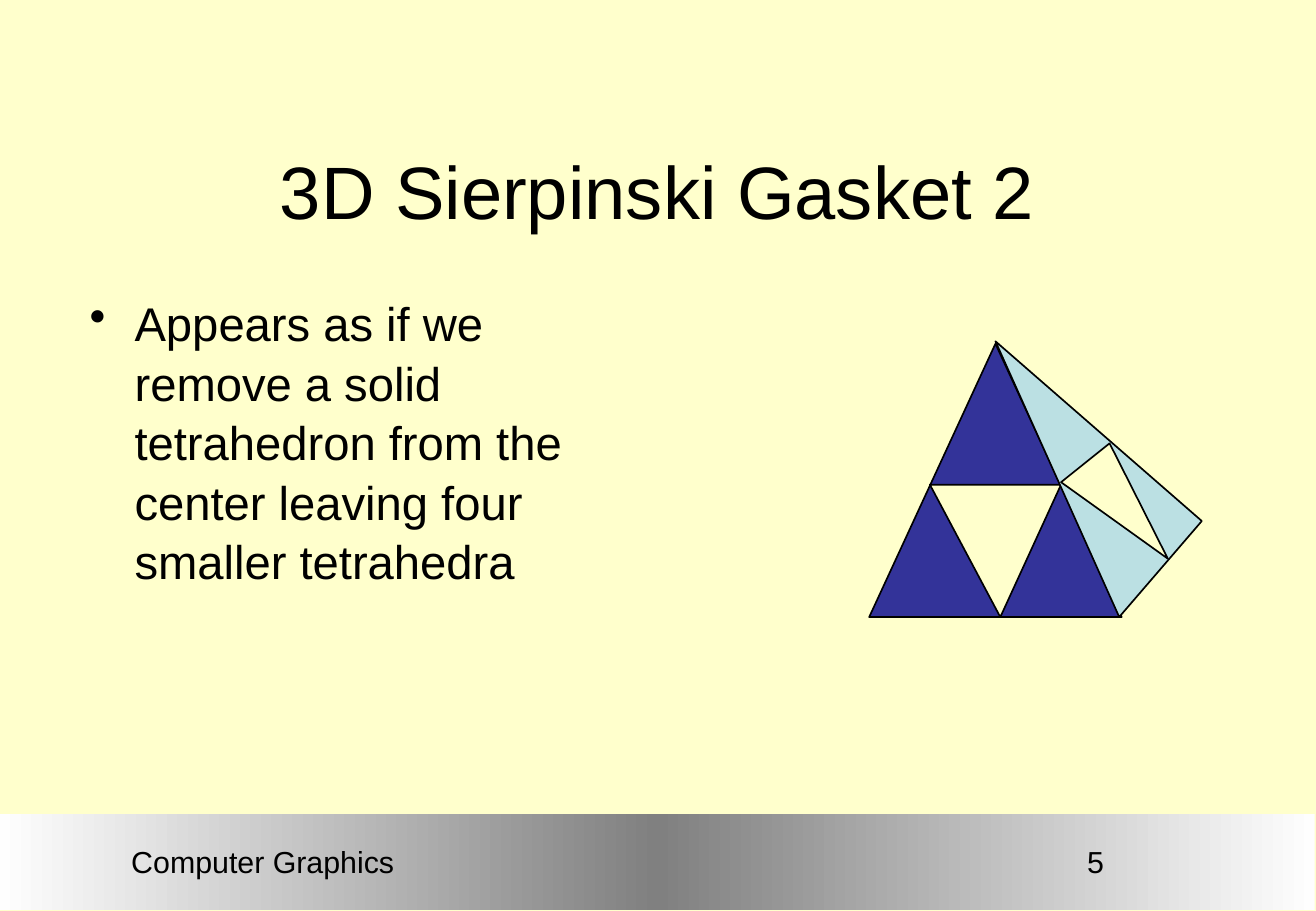
from copy import deepcopy
from dataclasses import dataclass

from lxml import etree
from pptx import Presentation
from pptx import util as u
from pptx.dml.color import RGBColor
from pptx.enum import shapes, text
from pptx.oxml.ns import qn
from pptx.slide import Slide

PX = 9144  # EMU per px, 100 px to the inch
FONT = "Arial"
COLOURS = {
    "paper": "FFFFCC",
    "ink": "000000",
    "front": "333399",
    "side": "BBE0E3",
    "band_edge": "FEFEFE",
    "band_middle": "808080",
}


@dataclass
class Label:
    words: str
    box: tuple[int, int, int, int]
    size: int
    align: text.PP_ALIGN = text.PP_ALIGN.CENTER
    anchor: text.MSO_ANCHOR = text.MSO_ANCHOR.MIDDLE
    top_inset: int = 5
    line_spacing: float = 1.0
    bulleted: bool = False


@dataclass
class Face:
    colour: str
    corners: list[tuple[int, int]]


LABELS = [
    Label("5", (776, 683, 253, 52), 18),
    Label("Computer Graphics", (45, 683, 343, 52), 18),
    Label("3D Sierpinski Gasket 2", (54, 92, 975, 125), 44, line_spacing=1.05),
    Label(
        "Appears as if we remove a solid tetrahedron from the center "
        "leaving four smaller tetrahedra",
        (54, 233, 479, 422), 28, text.PP_ALIGN.LEFT, text.MSO_ANCHOR.TOP,
        top_inset=7, line_spacing=1.05, bulleted=True,
    ),
]

# Each visible side of the tetrahedron is followed by its removed middle
FACES = [
    Face("front", [(820, 283), (924, 508), (716, 508)]),
    Face("paper", [(766, 399), (874, 399), (824, 508)]),
    Face("side", [(820, 281), (990, 429), (922, 508)]),
    Face("paper", [(874, 397), (914, 365), (962, 460)]),
]


def rgb(name: str) -> RGBColor:
    return RGBColor.from_string(COLOURS[name])


def draw_band(slide: Slide) -> None:
    band = slide.shapes.add_shape(
        shapes.MSO_SHAPE.RECTANGLE, 0, 670 * PX, 1083 * PX, 79 * PX)
    band.shadow.inherit = False
    band.line.fill.background()
    band.fill.gradient()
    band.fill.gradient_angle = 0
    for stop, name in zip(band.fill.gradient_stops, ("band_edge", "band_middle")):
        stop.color.rgb = rgb(name)
    # The middle tone sits halfway, with the edge tone on both ends
    stops = band._element.spPr.find(f".//{qn('a:gsLst')}")
    stops[1].set("pos", "50000")
    stops.append(deepcopy(stops[0]))
    stops[2].set("pos", "100000")


def draw_label(slide: Slide, label: Label) -> None:
    box = slide.shapes.add_textbox(*(length * PX for length in label.box))
    frame = box.text_frame
    frame.word_wrap = True
    frame.vertical_anchor = label.anchor
    frame.margin_top = label.top_inset * PX
    paragraph = frame.paragraphs[0]
    paragraph.alignment = label.align
    paragraph.line_spacing = label.line_spacing
    if label.bulleted:
        properties = paragraph._p.get_or_add_pPr()
        properties.set("marL", str(47 * PX))
        properties.set("indent", str(-37 * PX))
        etree.SubElement(properties, qn("a:buChar")).set("char", "•")
    run = paragraph.add_run()
    run.text = label.words
    run.font.name = FONT
    run.font.size = u.Pt(label.size)
    run.font.color.rgb = rgb("ink")


def draw_face(slide: Slide, face: Face) -> None:
    first, *others = face.corners
    builder = slide.shapes.build_freeform(*first, scale=PX)
    builder.add_line_segments(others, close=True)
    triangle = builder.convert_to_shape()
    triangle.shadow.inherit = False
    triangle.fill.solid()
    triangle.fill.fore_color.rgb = rgb(face.colour)
    triangle.line.color.rgb = rgb("ink")
    triangle.line.width = u.Pt(1)


def main() -> None:
    deck = Presentation()
    deck.slide_width, deck.slide_height = 1084 * PX, 750 * PX
    slide = deck.slides.add_slide(deck.slide_layouts[6])
    slide.background.fill.solid()
    slide.background.fill.fore_color.rgb = rgb("paper")

    # Footer band, then the wording
    draw_band(slide)
    for label in LABELS:
        draw_label(slide, label)

    # Tetrahedron
    for face in FACES:
        draw_face(slide, face)

    deck.save("out.pptx")


if __name__ == "__main__":
    main()
